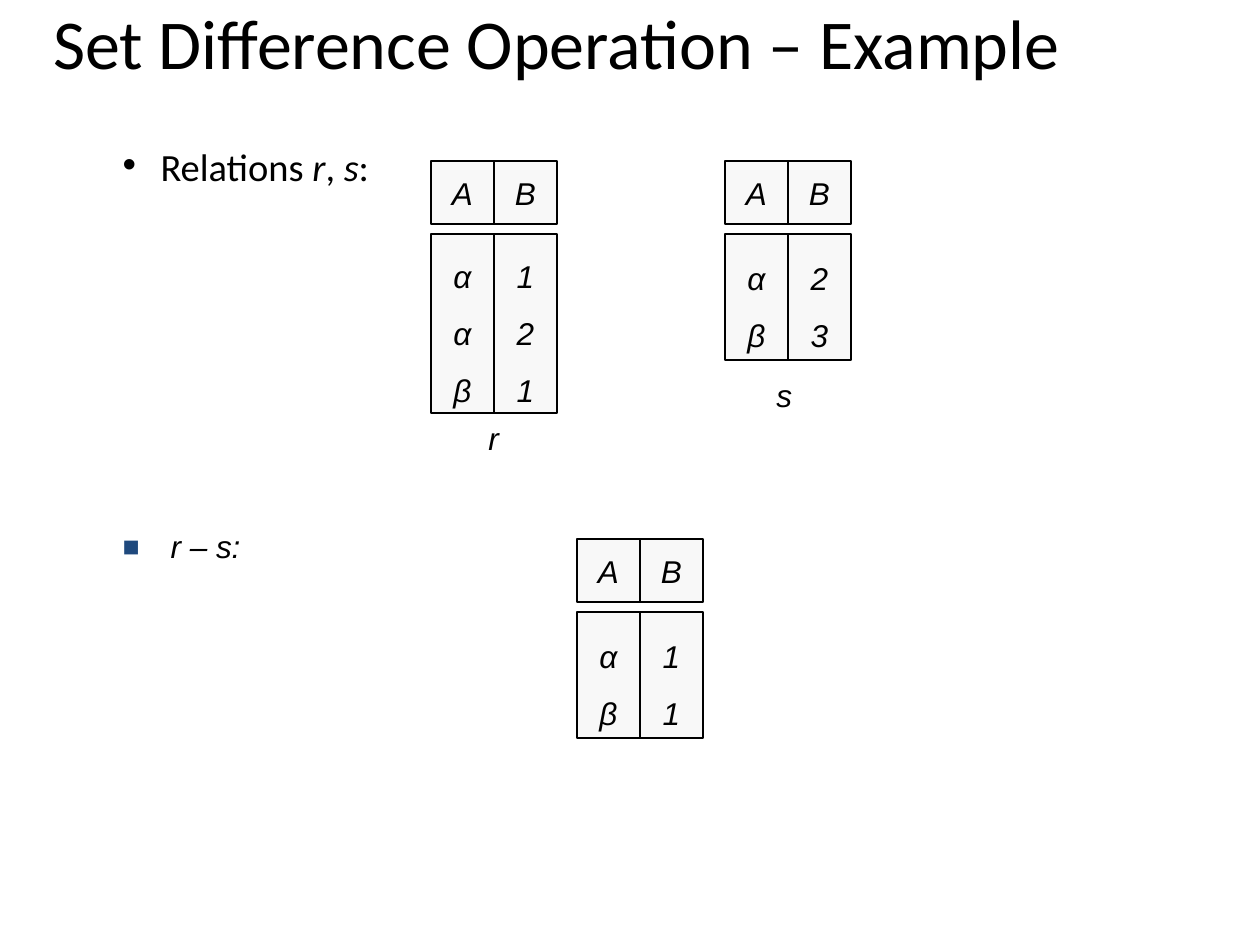
import pptx
import pptx.util
import pptx.dml.color
import pptx.enum.shapes
import pptx.enum.text
import pptx.oxml
import pptx.oxml.ns

UNIT = pptx.util.Inches(1) / 126
ALIGN = pptx.enum.text.PP_ALIGN
ANCHOR = pptx.enum.text.MSO_ANCHOR
RECT = pptx.enum.shapes.MSO_SHAPE.RECTANGLE
ITALIC = {"name": "Arial", "size": pptx.util.Pt(18), "italic": True}
PLAIN = {"name": "Calibri", "size": pptx.util.Pt(22), "italic": False}


def hue(code):
    return pptx.dml.color.RGBColor.from_string(code)


def write(shape, box, lines, font, para, frame):
    """Place a shape and fill it with lines, each a list of (text, italic)."""
    for key, value in zip(("left", "top", "width", "height"), box):
        setattr(shape, key, round(value * UNIT))
    body = shape.text_frame
    for key, value in frame.items():
        setattr(body, key, value)
    for i, line in enumerate(lines):
        p = body.add_paragraph() if i else body.paragraphs[0]
        for key, value in para.items():
            setattr(p, key, value)
        for text, slant in line:
            run = p.add_run()
            run.text = text
            for key, value in font.items():
                setattr(run.font, key, value)
            run.font.italic = slant
            run.font.color.rgb = hue("000000")


deck = pptx.Presentation()
deck.slide_width = round(1260 * UNIT)
deck.slide_height = round(945 * UNIT)
slide = deck.slides.add_slide(deck.slide_layouts[3])
shapes = slide.shapes
fixed = {"auto_size": pptx.enum.text.MSO_AUTO_SIZE.NONE, "word_wrap": True}

# Title
write(shapes.title, (0, 0, 1113, 84),
      [[("Set Difference Operation – Example", False)]],
      {"name": "Calibri", "size": pptx.util.Pt(40)},
      {"alignment": ALIGN.CENTER},
      {**fixed, "vertical_anchor": ANCHOR.MIDDLE})

# Bulleted lines
items = [
    (1, (110, 149, 945, 47), PLAIN, 0.7, 38, "•", "000000", 100,
     [("Relations ", False), ("r", True), (", ", False), ("s", True),
      (":", False)]),
    (2, (110, 525, 969, 45), ITALIC, 0.9, 48, "■", "1F497D", 90,
     [("r – s:", True)]),
]
for spot, box, font, gap, dent, mark, tint, size, line in items:
    item = slide.placeholders[spot]
    write(item, box, [line], font,
          {"line_spacing": gap, "space_before": pptx.util.Pt(0)},
          {**fixed, "vertical_anchor": ANCHOR.TOP})
    props = item.text_frame.paragraphs[0]._p.get_or_add_pPr()
    props.set("marL", str(round(dent * UNIT)))
    props.set("indent", str(-round(dent * UNIT)))
    space = pptx.oxml.ns.nsdecls("a")
    for tag in (f'<a:buClr {space}><a:srgbClr val="{tint}"/></a:buClr>',
                f'<a:buSzPct {space} val="{size * 1000}"/>',
                f'<a:buFont {space} typeface="Arial"/>',
                f'<a:buChar {space} char="{mark}"/>'):
        props.append(pptx.oxml.parse_xml(tag))

# Relations r, s and r – s: a header row above tall column cells
CELL = 63
center = {"word_wrap": False, "vertical_anchor": ANCHOR.MIDDLE}
tables = [
    (431, 161, 179, ("ααβ", "121")),
    (725, 161, 126, ("αβ", "23")),
    (577, 539, 126, ("αβ", "11")),
]
for left, top, tall, cols in tables:
    for i, (head, col) in enumerate(zip("AB", cols)):
        x = left + i * CELL
        for y, high, text, gap in ((top, CELL, head, 1.0),
                                   (top + 73, tall, col, 1.5)):
            cell = shapes.add_shape(RECT, 0, 0, 0, 0)
            cell.shadow.inherit = False
            cell.fill.solid()
            cell.fill.fore_color.rgb = hue("F8F8F8")
            cell.line.color.rgb = hue("000000")
            cell.line.width = pptx.util.Pt(0.75)
            write(cell, (x, y, CELL, high), [[(c, True)] for c in text],
                  ITALIC, {"alignment": ALIGN.CENTER, "line_spacing": gap},
                  center)

# Relation names
for name, box in (("r", (476, 413, 35, 50)), ("s", (764, 370, 40, 50))):
    write(shapes.add_textbox(0, 0, 0, 0), box, [[(name, True)]], ITALIC,
          {"alignment": ALIGN.CENTER}, center)

deck.save("out.pptx")
